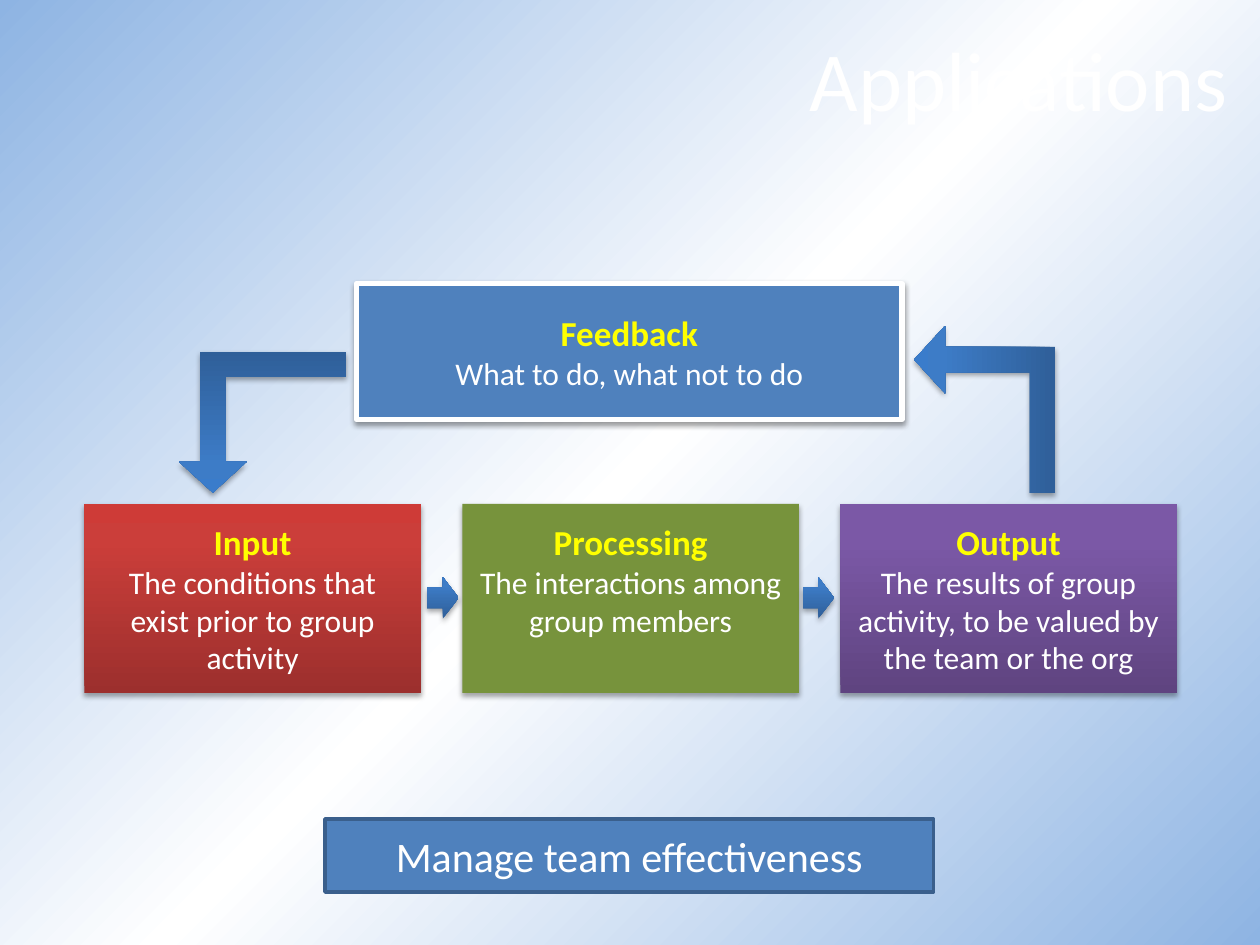
from copy import deepcopy
from pptx import Presentation
from pptx import util as u
from pptx.dml.color import RGBColor
from pptx.enum import shapes, text
from pptx.oxml import parse_xml
from pptx.oxml.ns import nsdecls, qn

FONT = "Calibri"
WHITE = RGBColor(0xFF, 0xFF, 0xFF)
YELLOW = RGBColor(0xFF, 0xFF, 0x00)
SKY = RGBColor(0x8E, 0xB4, 0xE3)
BLUE = RGBColor(0x4F, 0x81, 0xBD)
NAVY = RGBColor(0x3A, 0x5F, 0x8C)
GREEN = RGBColor(0x77, 0x93, 0x3C)
# Gradients: colours at 0, 80 and 100 percent, from bottom to top
STOPS = (0, 0.8, 1)
REDS = (RGBColor(0x9C, 0x2F, 0x2D), RGBColor(0xCB, 0x3E, 0x3A),
        RGBColor(0xCE, 0x3B, 0x37))
PLUMS = (RGBColor(0x5F, 0x44, 0x80), RGBColor(0x7B, 0x58, 0xA6),
         RGBColor(0x7C, 0x57, 0xA8))
BLUES = (RGBColor(0x2F, 0x5F, 0x99), RGBColor(0x3D, 0x7C, 0xC7),
         RGBColor(0x3A, 0x7C, 0xCB))
KIND = shapes.MSO_SHAPE


def grade(root, fill, tones, stops, angle):
    """Give a fill a linear gradient of three tones."""
    fill.gradient()
    fill.gradient_angle = angle
    group = root.find(".//" + qn("a:gsLst"))
    group.append(deepcopy(group[0]))
    for stop, tone, place in zip(fill.gradient_stops, tones, stops):
        stop.color.rgb = tone
        stop.position = place


def shade(shape, alpha, dist):
    """Add a soft shadow straight below a shape."""
    shape._element.spPr.find(qn("a:effectLst")).append(parse_xml(
        f'<a:outerShdw {nsdecls("a")} blurRad="{u.Pt(3.1)}" '
        f'dist="{u.Pt(dist)}" dir="5400000" rotWithShape="0">'
        f'<a:srgbClr val="000000"><a:alpha val="{alpha * 1000}"/>'
        '</a:srgbClr></a:outerShdw>'))


def draw(slide, kind, place, paint, line=None, width=0):
    """Add a shape with a plain or graded fill and an optional line."""
    shape = slide.shapes.add_shape(kind, *map(u.Inches, place))
    shape.shadow.inherit = False
    if isinstance(paint, RGBColor):
        shape.fill.solid()
        shape.fill.fore_color.rgb = paint
    else:
        grade(shape._element, shape.fill, paint, STOPS, 90)
    if line is None:
        shape.line.fill.background()
    else:
        shape.line.color.rgb = line
        shape.line.width = u.Pt(width)
    return shape


def write(shape, lines, align=text.PP_ALIGN.CENTER):
    """Fill a shape with lines of (words, size, colour, bold)."""
    frame = shape.text_frame
    frame.word_wrap = True
    frame.vertical_anchor = text.MSO_ANCHOR.MIDDLE
    frame.text = "\n".join(line[0] for line in lines)
    for para, (_, size, tone, bold) in zip(frame.paragraphs, lines):
        para.alignment = align
        font = para.runs[0].font
        font.name, font.size, font.bold = FONT, u.Pt(size), bold
        font.color.rgb = tone


def label(shape, head, body):
    """Write a yellow heading over white body text."""
    write(shape, [(head, 20, YELLOW, True), (body, 18, WHITE, False)])


def arrow(slide, kind, place, turn=0):
    """Add a blue block arrow."""
    shape = draw(slide, kind, place, BLUES)
    shade(shape, 35, 1.8)
    shape.rotation = turn
    return shape


def main():
    prs = Presentation()
    prs.slide_width, prs.slide_height = u.Inches(10), u.Inches(7.5)
    slide = prs.slides.add_slide(prs.slide_layouts[6])
    grade(slide._element, slide.background.fill, (SKY, WHITE, SKY),
          (0, 0.5, 1), 315)

    # Title
    title = slide.shapes.add_textbox(
        *map(u.Inches, (0.17, 0.08, 9.67, 1.08)))
    write(title, [("Applications", 48, WHITE, False)], text.PP_ALIGN.RIGHT)

    # Goal at the foot
    goal = draw(slide, KIND.RECTANGLE, (2.58, 6.5, 4.83, 0.58), BLUE, NAVY, 2)
    write(goal, [("Manage team effectiveness", 24, WHITE, False)])

    # Three steps in a row
    steps = [
        ("Input", "The conditions that exist prior to group activity", REDS),
        ("Processing", "The interactions among group members", GREEN),
        ("Output", "The results of group activity, to be valued by "
         "the team or the org", PLUMS),
    ]
    boxes = []
    for i, (head, body, paint) in enumerate(steps):
        box = draw(slide, KIND.RECTANGLE, (0.67 + 3 * i, 4, 2.67, 1.5), paint)
        shade(box, 35, 1.8)
        label(box, head, body)
        boxes.append(box)
    # Lift the shorter text so that the headings line up
    boxes[1].text_frame.margin_bottom = u.Inches(0.35)

    # Feedback
    back = draw(slide, KIND.RECTANGLE, (2.83, 2.25, 4.33, 1.08), BLUE, WHITE, 3)
    shade(back, 38, 1.6)
    label(back, "Feedback", "What to do, what not to do")

    # Arrows between steps
    for left in (3.39, 6.37):
        arrow(slide, KIND.RIGHT_ARROW, (left, 4.58, 0.25, 0.33))

    # Bent arrows to and from feedback
    for left, top, turn in ((7.15, 2.69, 270), (1.42, 2.79, 180)):
        bend = arrow(slide, KIND.BENT_UP_ARROW, (left, top, 1.33, 1.12), turn)
        for i, value in enumerate((0.18, 0.24, 0.22)):
            bend.adjustments[i] = value

    prs.save("out.pptx")


if __name__ == "__main__":
    main()
